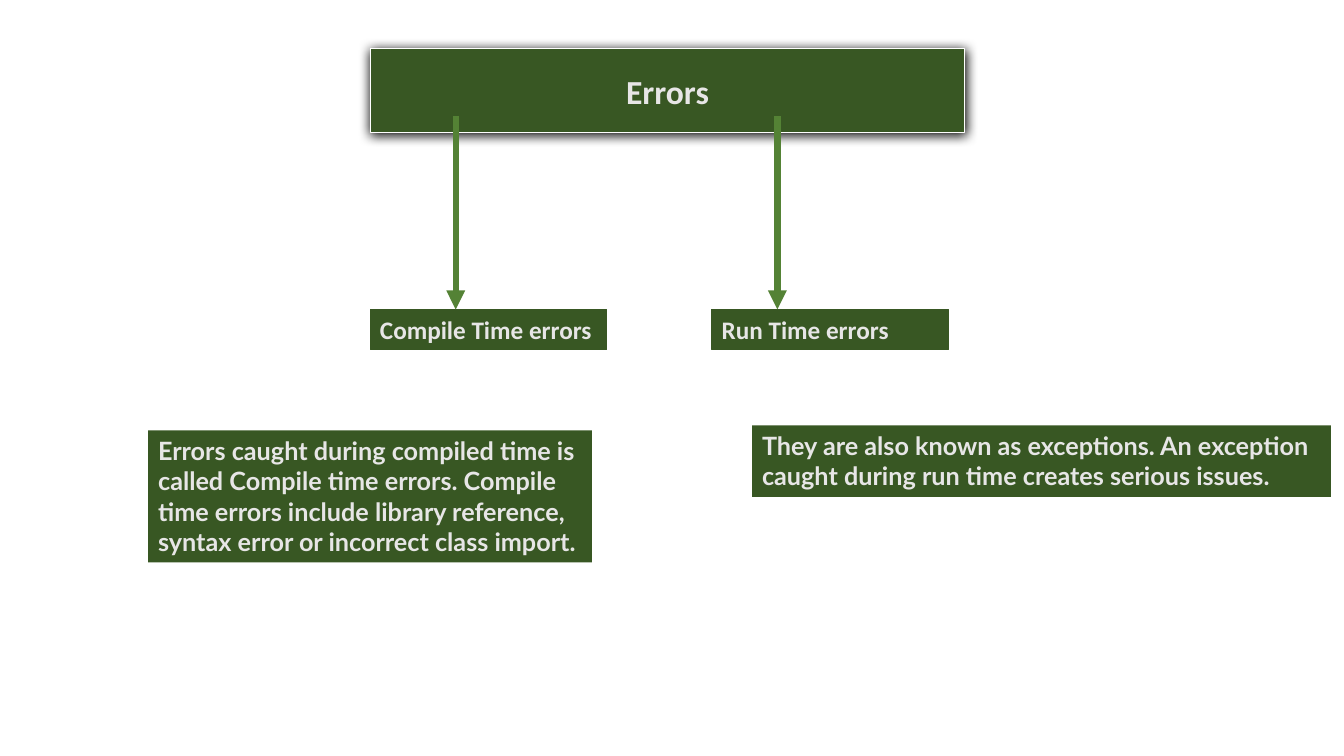
from lxml.etree import SubElement
from pptx import Presentation
from pptx.dml.color import RGBColor
from pptx.enum.shapes import MSO_CONNECTOR, MSO_SHAPE
from pptx.enum.text import MSO_ANCHOR, MSO_AUTO_SIZE, PP_ALIGN
from pptx.oxml.ns import qn
from pptx.util import Inches, Pt

DARK = RGBColor(0x38, 0x57, 0x23)
GREEN = RGBColor(0x54, 0x82, 0x35)
PALE = RGBColor(0xE7, 0xE6, 0xE6)
WHITE = RGBColor(0xFF, 0xFF, 0xFF)


def write(shape, text, font="Calibri", size=18, align=PP_ALIGN.LEFT, anchor=MSO_ANCHOR.TOP):
    frame = shape.text_frame
    frame.word_wrap = True
    frame.auto_size = MSO_AUTO_SIZE.SHAPE_TO_FIT_TEXT
    frame.vertical_anchor = anchor
    para = frame.paragraphs[0]
    para.alignment = align
    run = para.add_run()
    run.text = text
    run.font.name = font
    run.font.size = Pt(size)
    run.font.bold = True
    run.font.color.rgb = PALE


class Chart:
    """Draw an error tree on one slide in a shared green style."""

    def __init__(self, slide):
        self.slide = slide

    def paint(self, shape, edge):
        shape.fill.solid()
        shape.fill.fore_color.rgb = DARK
        if edge is None:
            shape.line.fill.background()
        else:
            shape.line.color.rgb = edge
            shape.line.width = Pt(0.75)

    def title(self, text, left, top, width, height):
        shape = self.slide.shapes.title
        shape.left, shape.top = Inches(left), Inches(top)
        shape.width, shape.height = Inches(width), Inches(height)
        self.paint(shape, WHITE)
        glow = SubElement(shape.element.spPr, qn("a:effectLst"))
        shade = SubElement(glow, qn("a:outerShdw"), blurRad=str(Pt(8.5)),
                           dist=str(Pt(1)), dir="5400000", algn="t", rotWithShape="0")
        SubElement(shade, qn("a:srgbClr"), val="000000")
        write(shape, text, size=24, align=PP_ALIGN.CENTER, anchor=MSO_ANCHOR.MIDDLE)

    def box(self, text, left, top, width, height, edge=None, font="Calibri"):
        shape = self.slide.shapes.add_shape(
            MSO_SHAPE.RECTANGLE, Inches(left), Inches(top), Inches(width), Inches(height))
        shape.shadow.inherit = False
        self.paint(shape, edge)
        write(shape, text, font=font)

    def arrow(self, left, top, end):
        line = self.slide.shapes.add_connector(
            MSO_CONNECTOR.STRAIGHT, Inches(left), Inches(top), Inches(left), Inches(end))
        line.line.color.rgb = GREEN
        line.line.width = Pt(4.5)
        SubElement(line.line._get_or_add_ln(), qn("a:tailEnd"), type="triangle")
        SubElement(line.element.spPr, qn("a:effectLst"))


deck = Presentation()
deck.slide_width, deck.slide_height = Inches(13.33), Inches(7.5)
chart = Chart(deck.slides.add_slide(deck.slide_layouts[5]))

ROOT, KIND = 0.65, 3.07
chart.title("Errors", 3.67, ROOT, 5.9, 0.5)
for name, left, stem in (("Compile Time errors", 3.67, 4.52), ("Run Time errors", 7.06, 7.71)):
    chart.box(name, left, KIND, 2.35, 0.4, edge=DARK)
    chart.arrow(stem, ROOT + 0.5, KIND)

NOTES = (
    ("Errors caught during compiled time is called Compile time errors. Compile time errors "
     "include library reference, syntax error or incorrect class import.", 1.47, 4.27, 4.4, 1.31),
    ("They are also known as exceptions. An exception caught during run time creates "
     "serious issues.", 7.46, 4.22, 5.74, 0.71),
)
for note in NOTES:
    chart.box(*note, font="Lato")

deck.save("out.pptx")
